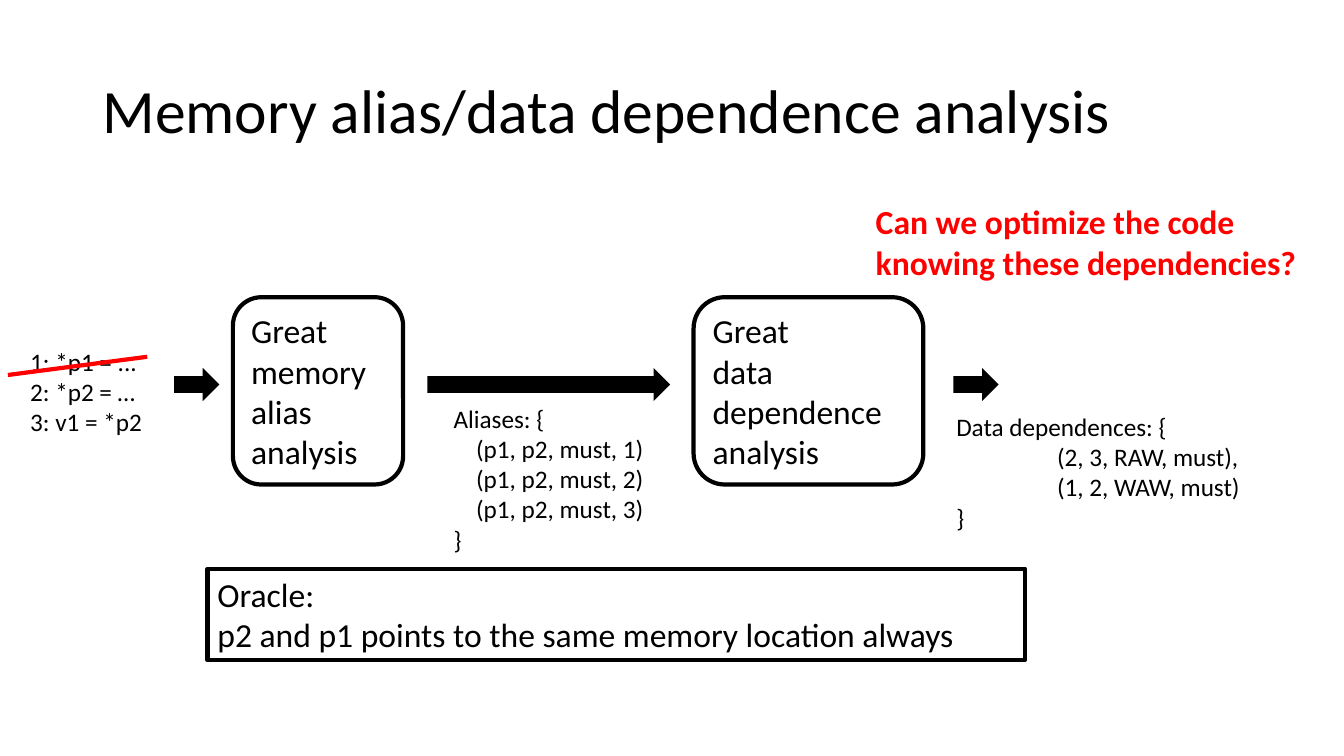
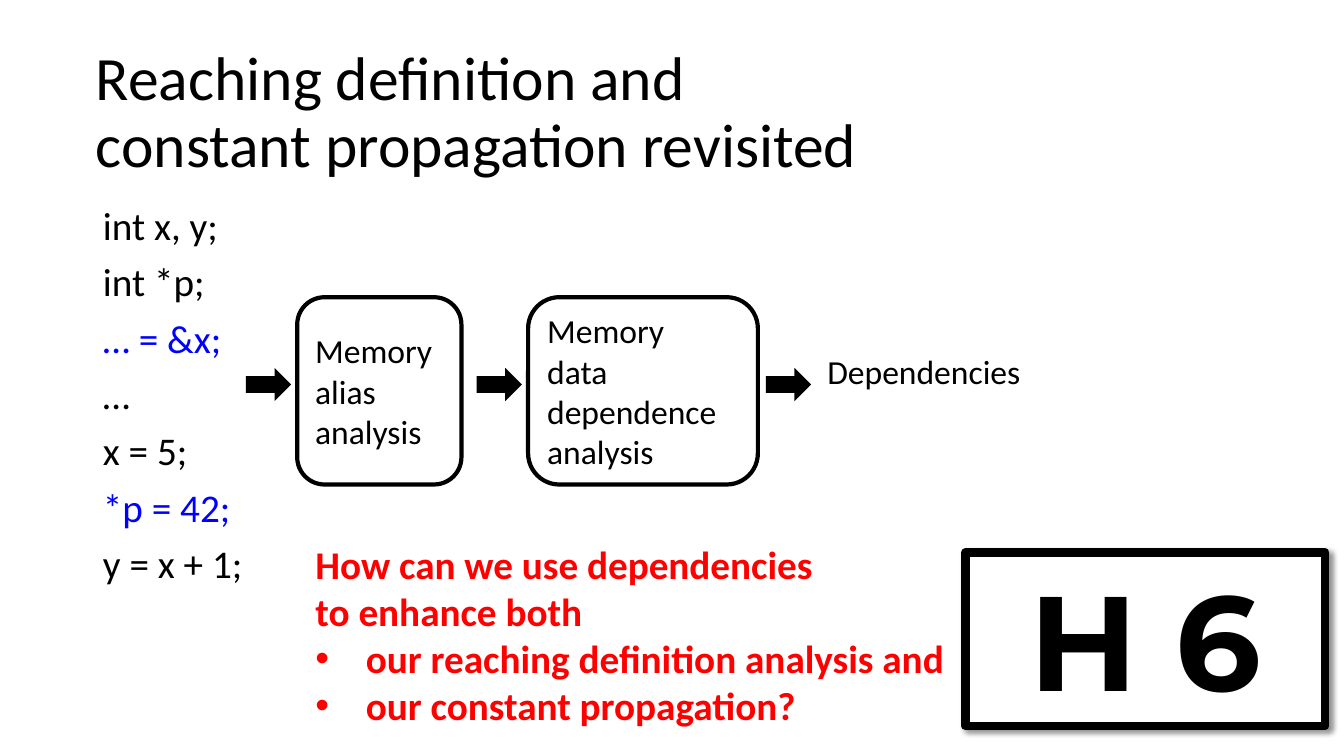
from copy import deepcopy
from dataclasses import dataclass

from lxml.etree import SubElement
from pptx import Presentation
from pptx.dml.color import RGBColor
from pptx.enum.shapes import MSO_CONNECTOR as Link, MSO_SHAPE as Shape
from pptx.enum.text import MSO_ANCHOR as Anchor, MSO_AUTO_SIZE as Fit, PP_ALIGN as Align
from pptx.oxml.ns import qn
from pptx.util import Cm, Pt


@dataclass(frozen=True)
class Theme:
    ink: str = "000000"
    paper: str = "FFFFFF"
    alert: str = "FF0000"
    pointer: str = "0000FF"
    font: str = "Calibri"
    badge_font: str = "Montserrat"
    title: int = 44
    large: int = 28
    medium: int = 24
    small: int = 18
    badge: int = 96
    outline: int = 3
    badge_outline: int = 6


THEME = Theme()
TITLE_SIZE = (29.21, 3.68)
FLOW = (0, 7.49, 33.87, 4.72)   # band that holds the analysis stages
ARROW_DROP, ARROW_HEIGHT, ARROW_WIDTH = 1.78, 0.84, 1.14


# Shared helpers
def cm(*lengths):
    return [Cm(length) for length in lengths]


def rgb(color):
    return RGBColor.from_string(color)


def write(frame, *lines, size=THEME.medium, color=THEME.ink, font=THEME.font, bold=False,
          align=Align.LEFT, anchor=Anchor.TOP, spacing=None, before=0, wrap=True):
    """Each line is text, or text with a dict of color, indent and bullet."""
    frame.word_wrap, frame.auto_size, frame.vertical_anchor = wrap, Fit.NONE, anchor
    for number, line in enumerate(lines):
        text, own = (line, {}) if isinstance(line, str) else line
        paragraph = frame.paragraphs[0] if number == 0 else frame.add_paragraph()
        paragraph.text = text
        paragraph.alignment, paragraph.line_spacing = align, spacing
        paragraph.space_before = Pt(before)
        bullet, indent = own.get("bullet"), Cm(own.get("indent", 0))
        props = paragraph._p.get_or_add_pPr()
        props.set("marL", str(indent))
        props.set("indent", str(-indent if bullet else 0))
        if bullet:
            SubElement(props, qn("a:buFont"), typeface="Arial")
            SubElement(props, qn("a:buChar"), char=bullet)
        else:
            SubElement(props, qn("a:buNone"))
        for run in paragraph.runs:
            run.font.size, run.font.name, run.font.bold = Pt(size), font, bold
            run.font.color.rgb = rgb(own.get("color", color))


def label(slide, box, *lines, **style):
    write(slide.shapes.add_textbox(*cm(*box)).text_frame, *lines, **style)


def panel(slide, kind, box, fill=None, outline=THEME.outline):
    shape = slide.shapes.add_shape(kind, *cm(*box))
    shape.shadow.inherit = False
    if fill:
        shape.fill.solid()
        shape.fill.fore_color.rgb = rgb(fill)
    else:
        shape.fill.background()
    if outline:
        shape.line.color.rgb = rgb(THEME.ink)
        shape.line.width = Pt(outline)
    else:
        shape.line.fill.background()
    return shape


def place(placeholder, box):
    placeholder.left, placeholder.top, placeholder.width, placeholder.height = cm(*box)
    return placeholder.text_frame


def add_slide(deck, layout, text, left, top):
    slide = deck.slides.add_slide(deck.slide_layouts[layout])
    write(place(slide.shapes.title, (left, top, *TITLE_SIZE)), text,
          size=THEME.title, anchor=Anchor.MIDDLE, spacing=0.9)
    return slide


# Analysis stages and the arrows between them
def analysis_flow(slide, box, stages, arrows):
    left, top, _, height = box
    for offset, width, lines in stages:
        stage = panel(slide, Shape.ROUNDED_RECTANGLE, (left + offset, top, width, height))
        write(stage.text_frame, *lines, anchor=Anchor.MIDDLE)
    for offset, width in arrows:
        panel(slide, Shape.RIGHT_ARROW,
              (left + offset, top + ARROW_DROP, width, ARROW_HEIGHT), THEME.ink, outline=0)


# Program whose first statement is crossed out
def struck_program(slide, box, *statements):
    left, top, width, _ = box
    label(slide, box, *statements, size=THEME.small)
    strike = slide.shapes.add_connector(
        Link.STRAIGHT, *cm(left - 0.31, top + 0.86, left + width - 0.46, top + 0.4))
    strike.line.color.rgb = rgb(THEME.alert)
    strike.line.width = Pt(THEME.outline)
    SubElement(strike._element.spPr, qn("a:effectLst"))


# Named set of facts in braces
def fact_set(slide, box, name, facts, indent):
    entries = [(fact, {"indent": indent}) for fact in facts]
    label(slide, box, f"{name}: {{", *entries, "}", size=THEME.small, wrap=False)


def oracle(slide, box, *lines):
    write(panel(slide, Shape.RECTANGLE, box).text_frame, *lines)


# Homework badge with a soft shadow
def badge(slide, box, text):
    card = panel(slide, Shape.RECTANGLE, box, THEME.paper, THEME.badge_outline)
    write(card.text_frame, text, size=THEME.badge, font=THEME.badge_font,
          bold=True, align=Align.CENTER)
    effects = card._element.spPr.find(qn("a:effectLst"))
    shadow = SubElement(effects, qn("a:outerShdw"), blurRad=str(Pt(4)), dist=str(Pt(3)),
                        dir=str(45 * 60000), algn="tl", rotWithShape="0")
    tint = SubElement(shadow, qn("a:srgbClr"), val=THEME.ink)
    SubElement(tint, qn("a:alpha"), val="43000")


def alias_slide(deck):
    slide = add_slide(deck, 5, "Memory alias/data dependence analysis", 2.33, 1.01)
    analysis_flow(
        slide, FLOW,
        [(5.87, 4.29, ["Great", "memory alias analysis"]),
         (17.48, 5.79, ["Great\vdata dependence analysis"])],
        [(4.39, ARROW_WIDTH), (10.77, 6.12), (24.03, ARROW_WIDTH)])
    struck_program(slide, (0.51, 8.59, 3.66, 2.57),
                   "1: *p1 = ...", "2: *p2 = …", "3: v1 = *p2")
    oracle(slide, (5.23, 14.33, 20.6, 2.31),
           "Oracle:", "p2 and p1 points to the same memory location always")
    fact_set(slide, (11.18, 10.03, 5.36, 4.11), "Aliases",
             [f"(p1, p2, must, {point})" for point in (1, 2, 3)], 0.57)
    fact_set(slide, (23.85, 10.24, 7.9, 3.33), "Data dependences",
             ["(2, 3, RAW, must),", "(1, 2, WAW, must)"], 2.54)
    label(slide, (21.82, 4.95, 11.23, 2.31), "Can we optimize the code",
          "knowing these dependencies?", color=THEME.alert, bold=True, wrap=False)


def propagation_slide(deck):
    slide = add_slide(deck, 1, "Reaching definition and\vconstant propagation revisited",
                      2.16, 1.04)
    pointer = {"color": THEME.pointer}
    write(place(slide.placeholders[1], (2.34, 5.08, 4.93, 12.09)),
          "int x, y;", "int *p;", ("… = &x;", pointer), "…", "x = 5;",
          ("*p = 42;", pointer), "y = x + 1;",
          size=THEME.large, spacing=0.9, before=10)
    analysis_flow(
        slide, FLOW,
        [(7.49, 4.14, ["Memory alias analysis"]),
         (13.31, 5.79, ["Memory", "data dependence analysis"])],
        [(offset, ARROW_WIDTH) for offset in (6.2, 12.01, 19.3)])
    label(slide, (20.6, 8.71, 10.87, 1.27), "Dependencies")
    goal = {"indent": 1.27, "bullet": "•"}
    label(slide, (7.7, 13.49, 16.59, 5.05), "How can we use dependencies\vto enhance both",
          ("our reaching definition analysis and", goal),
          ("our constant propagation?", goal),
          size=THEME.large, color=THEME.alert, bold=True)
    badge(slide, (24.33, 13.92, 9.07, 4.37), "H 6")


deck = Presentation()
deck.slide_width, deck.slide_height = cm(33.87, 19.05)
alias_slide(deck)
propagation_slide(deck)
deck.save("out.pptx")
